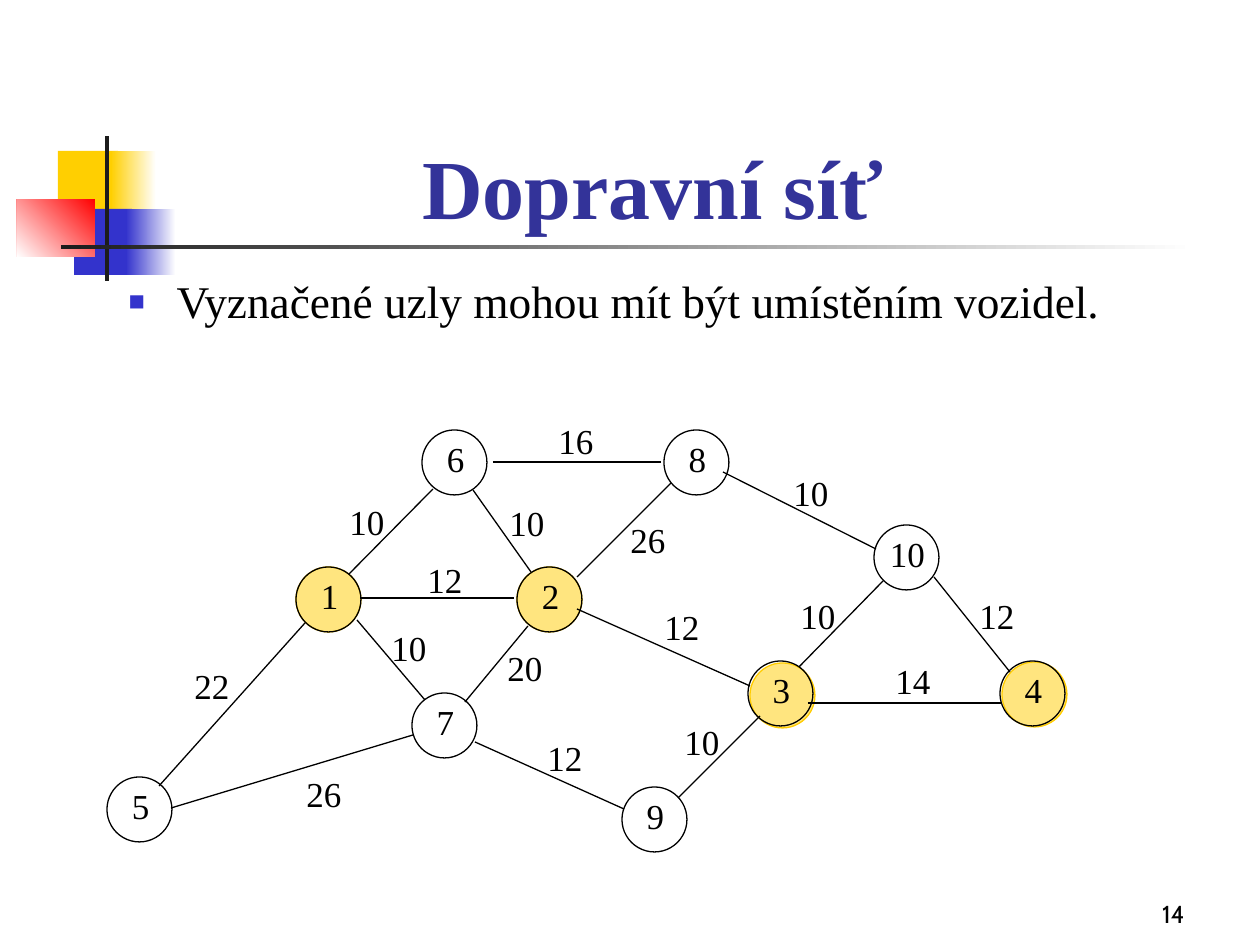
import pptx
import pptx.util
import pptx.dml.color
import pptx.enum.shapes
import pptx.enum.text
import pptx.oxml
import pptx.oxml.ns
import lxml.etree

PX = 914400 / 126
NODE_SIZE = 65
SERIF = "Times New Roman"
COLORS = {
    "yellow": "FFCF01", "blue": "3333CC", "red": "FF0000", "dark": "1C1C1C",
    "white": "FFFFFF", "black": "000000", "title": "333399", "highlight": "FFCC00",
}
RGB = {name: pptx.dml.color.RGBColor.from_string(code) for name, code in COLORS.items()}
SHAPES = pptx.enum.shapes.MSO_SHAPE
ALIGN = pptx.enum.text.PP_ALIGN
ANCHOR = pptx.enum.text.MSO_ANCHOR


def emu(*lengths):
    return [pptx.util.Emu(round(length * PX)) for length in lengths]


def add_label(text, box, size, font_name=SERIF, align=ALIGN.CENTER, anchor=ANCHOR.TOP):
    label = slide.shapes.add_textbox(*emu(*box))
    label.text_frame.word_wrap = True
    label.text_frame.vertical_anchor = anchor
    paragraph = label.text_frame.paragraphs[0]
    paragraph.text = text
    paragraph.alignment = align
    paragraph.font.size = pptx.util.Pt(size)
    paragraph.font.name = font_name
    paragraph.font.color.rgb = RGB["black"]


deck = pptx.Presentation()
deck.slide_width, deck.slide_height = emu(1260, 945)
slide = deck.slides.add_slide(deck.slide_layouts[1])
title, body = slide.placeholders

ornaments = [
    ((58, 151, 60, 66), ["yellow"], 0),
    ((111, 151, 45, 66), ["white", "yellow"], 180),
    ((74, 209, 58, 66), ["blue"], 0),
    ((126, 209, 50, 66), ["white", "blue"], 180),
    ((17, 199, 78, 58), ["red", "white"], 225),
    ((105, 136, 4, 145), ["dark"], 0),
    ((61, 245, 1134, 4), ["white", "dark"], 180),
]
for box, tones, angle in ornaments:
    ornament = slide.shapes.add_shape(SHAPES.RECTANGLE, *emu(*box))
    ornament.shadow.inherit = False
    ornament.line.fill.background()
    if len(tones) == 1:
        ornament.fill.solid()
        ornament.fill.fore_color.rgb = RGB[tones[0]]
    else:
        ornament.fill.gradient()
        ornament.fill.gradient_angle = angle
        for stop, tone in zip(ornament.fill.gradient_stops, tones):
            stop.color.rgb = RGB[tone]

headings = [
    (title, "Dopravní síť", (116, 53, 1074, 190), 48, "title", ANCHOR.BOTTOM),
    (body, "Vyznačené uzly mohou mít být umístěním vozidel.",
     (116, 273, 1071, 130), 25.9, "black", ANCHOR.TOP),
]
for holder, text, box, size, tone, anchor in headings:
    slide.shapes._spTree.append(holder._element)
    holder.left, holder.top, holder.width, holder.height = emu(*box)
    holder.text_frame.text = text
    holder.text_frame.auto_size = pptx.enum.text.MSO_AUTO_SIZE.NONE
    holder.text_frame.vertical_anchor = anchor
    paragraph = holder.text_frame.paragraphs[0]
    if holder is body:
        indent = emu(48)[0]
        properties = paragraph._p.get_or_add_pPr()
        properties.set("marL", str(indent))
        properties.set("indent", str(-indent))
        bullet_color = lxml.etree.SubElement(properties, pptx.oxml.ns.qn("a:buClr"))
        lxml.etree.SubElement(bullet_color, pptx.oxml.ns.qn("a:srgbClr"), val=COLORS["blue"])
        lxml.etree.SubElement(properties, pptx.oxml.ns.qn("a:buSzPct"), val="60000")
        lxml.etree.SubElement(properties, pptx.oxml.ns.qn("a:buChar"), char="■")
        paragraph.line_spacing = 0.9
        paragraph.space_before = pptx.util.Pt(0)
    else:
        paragraph.alignment = ALIGN.CENTER
    paragraph.font.size = pptx.util.Pt(size)
    paragraph.font.name = SERIF
    paragraph.font.bold = holder is title
    paragraph.font.color.rgb = RGB[tone]

vehicle_spots = [(1002, 662), (296, 567), (517, 567), (750, 663)]
nodes = {
    "1": (296, 567), "2": (517, 567), "3": (748, 661), "4": (1000, 661), "5": (107, 777),
    "6": (422, 430), "7": (412, 693), "8": (664, 430), "9": (622, 787), "10": (874, 525),
}
circles = [(spot, "highlight", None) for spot in vehicle_spots]
circles += [(spot, "black", number) for number, spot in nodes.items()]
for (left, top), tone, number in circles:
    circle = slide.shapes.add_shape(SHAPES.OVAL, *emu(left, top, NODE_SIZE, NODE_SIZE))
    circle.shadow.inherit = False
    circle.line.color.rgb = RGB[tone]
    circle.line.width = pptx.util.Pt(0.75)
    if number:
        circle.fill.background()
        add_label(number, (left - 3, top + 1, 73, 55), 20)
    else:
        circle.fill.solid()
        circle.fill.fore_color.rgb = RGB[tone]
        color = circle._element.spPr.find(".//" + pptx.oxml.ns.qn("a:srgbClr"))
        lxml.etree.SubElement(color, pptx.oxml.ns.qn("a:alpha"), val="50000")

roads = [
    ("22", (170, 658), (159, 786, 305, 623)),
    ("26", (282, 766), (171, 808, 413, 735)),
    ("10", (367, 620), (357, 620, 425, 700)),
    ("10", (325, 494), (349, 574, 433, 489)),
    ("12", (403, 552), (361, 598, 514, 598)),
    ("12", (640, 599), (577, 609, 750, 686)),
    ("14", (871, 653), (808, 703, 1002, 703)),
    ("20", (483, 640), (465, 702, 528, 626)),
    ("12", (523, 730), (475, 742, 624, 809)),
    ("10", (660, 714), (678, 798, 760, 716)),
    ("16", (534, 413), (493, 462, 661, 462)),
    ("10", (485, 495), (473, 490, 531, 572)),
    ("26", (606, 512), (577, 577, 671, 483)),
    ("10", (769, 465), (723, 472, 876, 549)),
    ("10", (776, 588), (799, 667, 883, 581)),
    ("12", (955, 588), (934, 577, 1010, 672)),
]
for length, (left, top), ends in roads:
    road = slide.shapes.add_connector(pptx.enum.shapes.MSO_CONNECTOR.STRAIGHT, *emu(*ends))
    road.line.color.rgb = RGB["black"]
    road.line.width = pptx.util.Pt(0.75)
    lxml.etree.SubElement(road._element.spPr, pptx.oxml.ns.qn("a:effectLst"))
    add_label(length, (left, top, 84, 55), 20)

add_label("14", (935, 872, 262, 63), 14, "Cabin", ALIGN.RIGHT, ANCHOR.BOTTOM)

deck.save("out.pptx")
